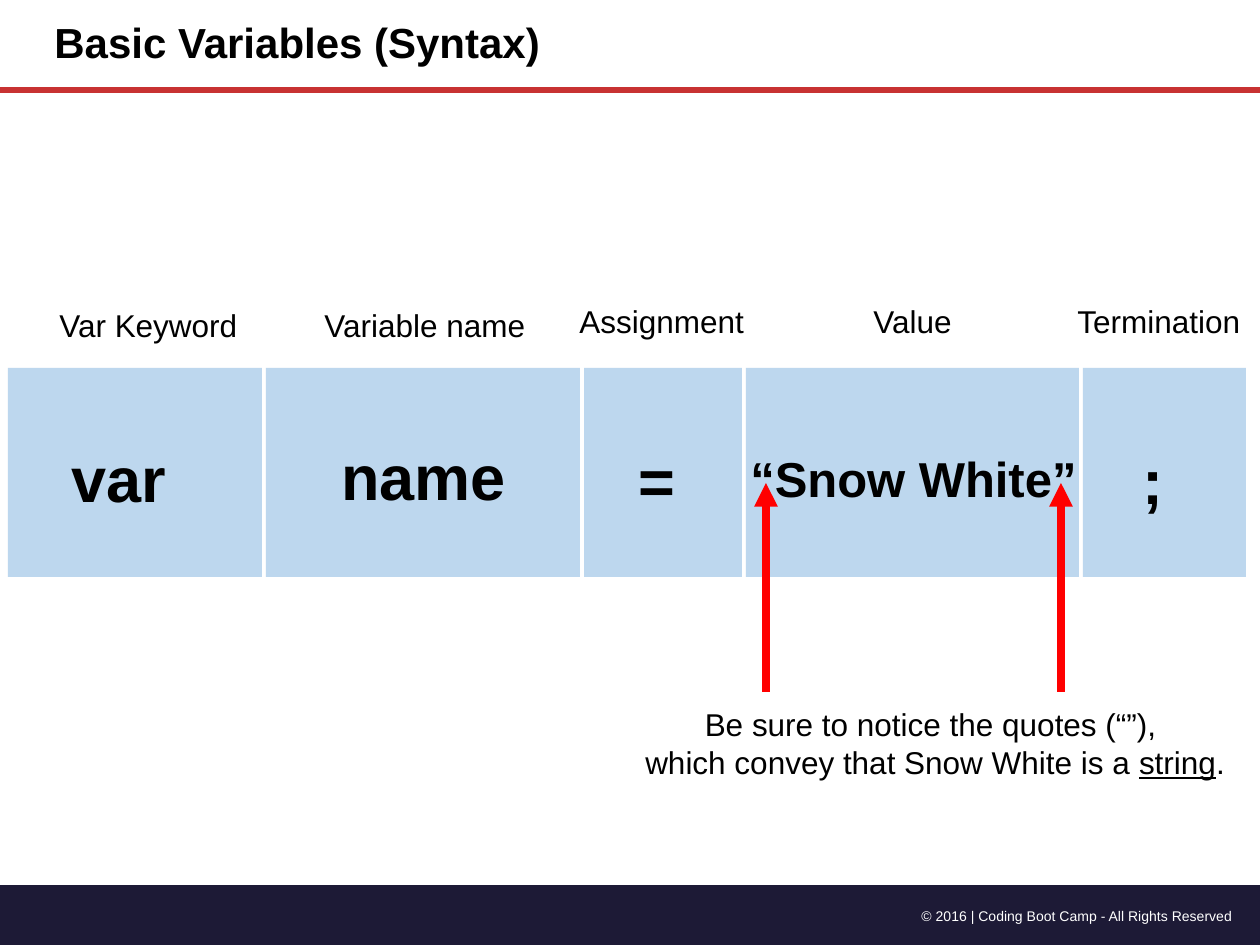
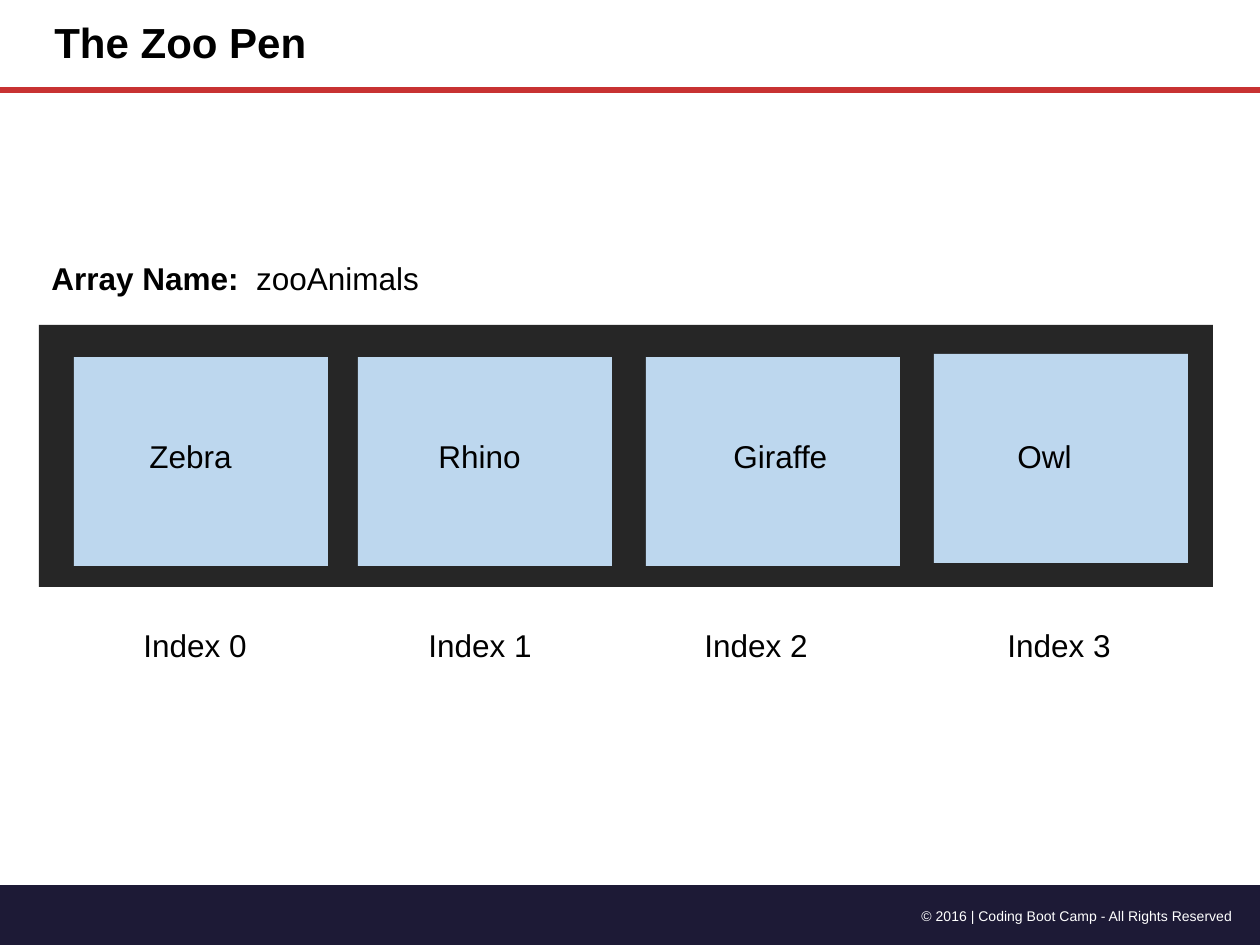
"""Build two slides that explain variable syntax and array indexes."""
from lxml import etree
from pptx import Presentation
from pptx.dml.color import RGBColor
from pptx.enum.shapes import MSO_CONNECTOR, MSO_SHAPE
from pptx.enum.text import MSO_ANCHOR, MSO_AUTO_SIZE, PP_ALIGN
from pptx.oxml.ns import qn
from pptx.util import Emu, Pt

SCALE = 914400 / 126
WIDTH, HEIGHT = 1260, 945

BLACK = RGBColor(0x00, 0x00, 0x00)
WHITE = RGBColor(0xFF, 0xFF, 0xFF)
NAVY = RGBColor(0x1D, 0x1A, 0x36)
CRIMSON = RGBColor(0xC8, 0x32, 0x32)
RED = RGBColor(0xFF, 0x00, 0x00)
SKY = RGBColor(0xBD, 0xD7, 0xEE)
CHARCOAL = RGBColor(0x26, 0x26, 0x26)

FONT = "Arial"
RECT, PROCESS = MSO_SHAPE.RECTANGLE, MSO_SHAPE.FLOWCHART_PROCESS
STRAIGHT = MSO_CONNECTOR.STRAIGHT
LEFT, CENTER, RIGHT = PP_ALIGN.LEFT, PP_ALIGN.CENTER, PP_ALIGN.RIGHT
TOP, MIDDLE = MSO_ANCHOR.TOP, MSO_ANCHOR.MIDDLE
GROW, FIXED = MSO_AUTO_SIZE.SHAPE_TO_FIT_TEXT, MSO_AUTO_SIZE.NONE

SYNTAX_TOP, SYNTAX_HEIGHT, SYNTAX_GAP = 368, 209, 4
SYNTAX_LEFT = 8
SYNTAX_WIDTHS = (254, 314, 158, 333, 163)
SYNTAX_LABELS = (
    ("Var Keyword", (47, 300, 205, 50)),
    ("Variable name", (312, 300, 228, 50)),
    ("Assignment", (567, 296, 192, 50)),
    ("Value", (861, 296, 105, 50)),
    ("Termination", (1065, 296, 190, 50)),
)
SYNTAX_WORDS = (
    ("var", (59, 433, 195, 89)),
    ("name", (329, 431, 263, 89)),
    ("=", (626, 435, 117, 89)),
    (";", (1130, 435, 117, 89)),
)
QUOTE_XS = (766, 1061)

PENS = (
    ("Zebra", (74, 357), (137, 108), (131, 139)),
    ("Rhino", (358, 357), (426, 108), (416, 130)),
    ("Giraffe", (646, 357), (721, 120), (692, 130)),
    ("Owl", (934, 354), (1005, 81), (995, 130)),
)


def px(*lengths):
    """Turn px lengths into EMU."""
    return [Emu(round(n * SCALE)) for n in lengths]


def add_text(s, box, content, size=18, color=BLACK, bold=False, align=LEFT,
             anchor=TOP, wrap=False, fit=GROW, spacing=None):
    """Add text, given as a string or as paragraphs of (text, format) runs."""
    tf = s.shapes.add_textbox(*px(*box)).text_frame
    tf.word_wrap, tf.auto_size, tf.vertical_anchor = wrap, fit, anchor
    paragraphs = [[(content, {})]] if isinstance(content, str) else content
    for i, runs in enumerate(paragraphs):
        p = tf.add_paragraph() if i else tf.paragraphs[0]
        p.alignment, p.line_spacing = align, spacing
        for words, extra in runs:
            r = p.add_run()
            r.text = words
            r.font.name, r.font.size = FONT, Pt(size)
            r.font.color.rgb = color
            r.font.bold = extra.get("bold", bold)
            r.font.underline = extra.get("underline")


def add_block(s, box, color, kind=RECT):
    """Add a plain filled shape."""
    sp = s.shapes.add_shape(kind, *px(*box))
    sp.shadow.inherit = False
    sp.fill.solid()
    sp.fill.fore_color.rgb = color
    sp.line.fill.background()


def add_line(s, start, end, color, width, arrow=False):
    """Add a straight line, with an arrowhead at its end on request."""
    line = s.shapes.add_connector(STRAIGHT, *px(*start, *end))
    line.line.color.rgb = color
    line.line.width = Pt(width)
    if arrow:
        etree.SubElement(line.line._get_or_add_ln(), qn("a:tailEnd"), type="triangle")
    etree.SubElement(line._element.spPr, qn("a:effectLst"))


def add_slide(prs, title):
    """Add a blank slide with the footer band, the rule and a title."""
    s = prs.slides.add_slide(prs.slide_layouts[6])
    add_block(s, (0, 885, WIDTH, 60), NAVY, PROCESS)
    add_text(s, (861, 901, 384, 30), "© 2016 | Coding Boot Camp - All Rights Reserved",
             size=8, color=WHITE, align=RIGHT, wrap=True)
    add_line(s, (0, 90), (WIDTH, 90), CRIMSON, 3.25)
    add_text(s, (42, 0, 753, 90), title, size=24, bold=True, anchor=MIDDLE,
             wrap=True, fit=FIXED, spacing=0.9)
    return s


def add_syntax_slide(prs):
    """Show the parts of a variable declaration."""
    s = add_slide(prs, "Basic Variables (Syntax)")
    x = SYNTAX_LEFT
    for width in SYNTAX_WIDTHS:
        add_block(s, (x, SYNTAX_TOP, width, SYNTAX_HEIGHT), SKY)
        x += width + SYNTAX_GAP
    for label, box in SYNTAX_LABELS:
        add_text(s, box, label)
    for word, box in SYNTAX_WORDS:
        add_text(s, box, word, size=36, bold=True, wrap=True)
    note = [
        [("Be sure to notice the quotes (“”), ", {})],
        [("which convey that Snow White is a ", {}), ("string", {"underline": True}), (".", {})],
    ]
    add_text(s, (630, 699, 610, 89), note, align=CENTER)
    for quote_x in QUOTE_XS:
        add_line(s, (quote_x, 692), (quote_x, 483), RED, 4.5, arrow=True)
    add_text(s, (726, 442, 375, 72), "“Snow White”", size=28, bold=True,
             align=CENTER, wrap=True)


def add_zoo_slide(prs):
    """Show an array as a row of numbered pens."""
    s = add_slide(prs, "The Zoo Pen")
    add_block(s, (39, 325, 1174, 262), CHARCOAL)
    add_text(s, (39, 253, 397, 50),
             [[("Array Name:  ", {"bold": True}), ("zooAnimals", {})]])
    for i, (animal, corner, (name_x, name_w), (index_x, index_w)) in enumerate(PENS):
        add_block(s, (*corner, 254, 209), SKY)
        add_text(s, (name_x, 431, name_w, 50), animal)
        add_text(s, (index_x, 620, index_w, 50), f"Index {i}")


def main():
    """Build and save the presentation."""
    prs = Presentation()
    prs.slide_width, prs.slide_height = px(WIDTH, HEIGHT)
    add_syntax_slide(prs)
    add_zoo_slide(prs)
    prs.save("out.pptx")


if __name__ == "__main__":
    main()
